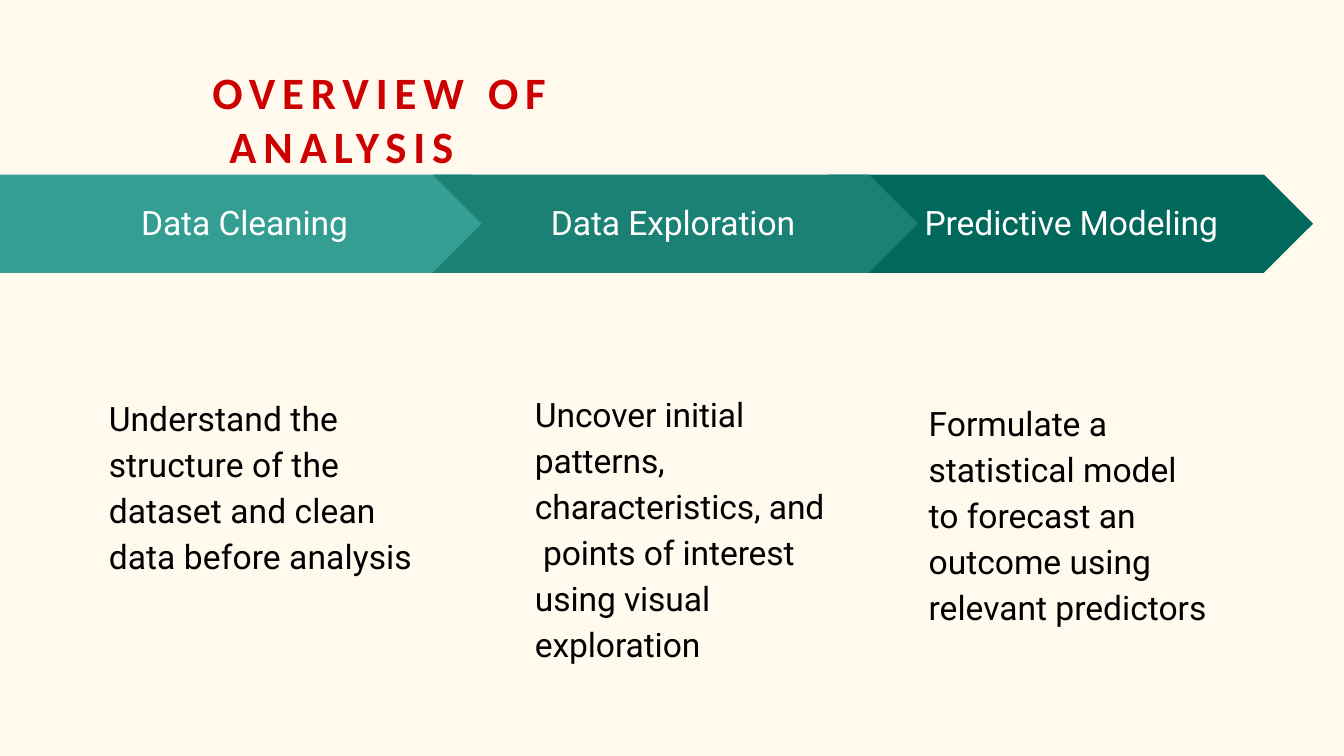
from pptx import Presentation
from pptx.dml.color import RGBColor
from pptx.enum.text import MSO_ANCHOR
from pptx.util import Pt

PX = 4572
TOP = MSO_ANCHOR.TOP
CREAM = RGBColor(0xFF, 0xF9, 0xEE)
RED = RGBColor(0xCC, 0x00, 0x00)
WHITE = RGBColor(0xFF, 0xFF, 0xFF)
BLACK = RGBColor(0x00, 0x00, 0x00)
LIGHT_TEAL = RGBColor(0x35, 0x9E, 0x92)
MID_TEAL = RGBColor(0x1C, 0x81, 0x75)
DARK_TEAL = RGBColor(0x00, 0x69, 0x5C)

ARROW_TOP, ARROW_HEIGHT, TIP = 260, 146, 73
STEPS = [
    {"arrow": (1232, 722), "notch": TIP, "color": DARK_TEAL,
     "label": "Predictive Modeling", "label_box": (1374, 298, 442, 66),
     "detail": "Formulate a statistical model\vto forecast an outcome using relevant predictors",
     "detail_box": (1380, 590, 418, 350), "spacing": 0},
    {"arrow": (0, 775), "notch": 0, "color": LIGHT_TEAL,
     "label": "Data Cleaning", "label_box": (208, 298, 324, 66),
     "detail": "Understand the structure of the dataset and clean\vdata before analysis",
     "detail_box": (160, 582, 454, 282), "spacing": 5},
    {"arrow": (644, 722), "notch": TIP, "color": MID_TEAL,
     "label": "Data Exploration", "label_box": (818, 298, 374, 66),
     "detail": "Uncover initial patterns, characteristics, and\v points of interest using visual exploration",
     "detail_box": (794, 576, 438, 418), "spacing": -5},
]


def add_text(page, box, text, color, font="Roboto", size=18, bold=False,
             spacing=0, line_spacing=1.0):
    """Place one paragraph in a box given as left, top, width, height."""
    frame = page.shapes.add_textbox(*(length * PX for length in box)).text_frame
    frame.word_wrap = True
    frame.vertical_anchor = TOP
    frame.margin_right = frame.margin_bottom = 0
    frame.margin_left = frame.margin_top = 2 * PX
    para = frame.paragraphs[0]
    para.text = text
    para.line_spacing = line_spacing
    for span in para.runs:
        span.font.name = font
        span.font.size = Pt(size)
        span.font.bold = bold
        span.font.color.rgb = color
        span._r.get_or_add_rPr().set("spc", str(spacing))


def add_arrow(page, left, top, width, height, notch, color):
    """Draw an arrow band with a pointed right end and an optional notch."""
    right, middle, bottom = left + width, top + height // 2, top + height
    builder = page.shapes.build_freeform(left, top, scale=PX)
    builder.add_line_segments([
        (right - TIP, top), (right, middle), (right - TIP, bottom),
        (left, bottom), (left + notch, middle),
    ])
    arrow = builder.convert_to_shape()
    arrow.shadow.inherit = False
    arrow.fill.solid()
    arrow.fill.fore_color.rgb = color
    arrow.line.fill.background()


def add_step(page, step):
    """Place one process step: its arrow, label and detail text."""
    left, width = step["arrow"]
    add_arrow(page, left, ARROW_TOP, width, ARROW_HEIGHT, step["notch"], step["color"])
    add_text(page, step["label_box"], step["label"], WHITE, spacing=-5)
    add_text(page, step["detail_box"], step["detail"], BLACK,
             spacing=step["spacing"], line_spacing=1.14)


def main():
    """Build the overview slide and save the deck."""
    deck = Presentation()
    deck.slide_width, deck.slide_height = 2000 * PX, 1125 * PX
    page = deck.slides.add_slide(deck.slide_layouts[6])
    page.background.fill.solid()
    page.background.fill.fore_color.rgb = CREAM
    add_text(page, (314, 94, 510, 168), "OVERVIEW OF\v ANALYSIS", RED, "Calibri", 24,
             bold=True, spacing=370)
    for step in STEPS:
        add_step(page, step)
    deck.save("out.pptx")


if __name__ == "__main__":
    main()
